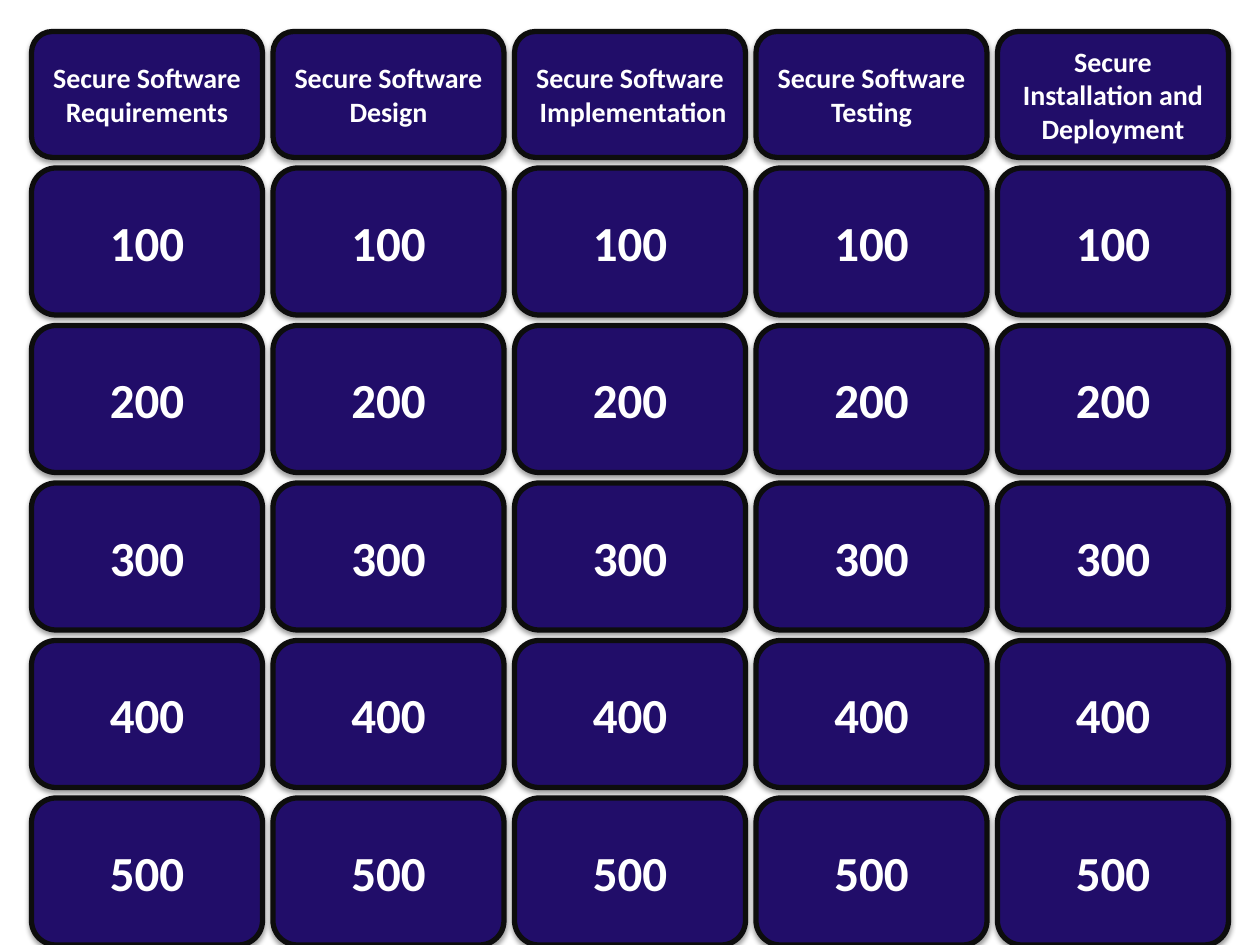
from lxml.etree import SubElement
from pptx import Presentation
from pptx.dml.color import RGBColor
from pptx.enum.shapes import MSO_SHAPE as Shape
from pptx.enum.text import MSO_ANCHOR as Anchor, PP_ALIGN as Align
from pptx.oxml.ns import qn
from pptx.util import Inches, Pt

TOPICS = [
    "Secure Software Requirements",
    "Secure Software Design",
    "Secure Software\v Implementation",
    "Secure Software Testing",
    "Secure Installation and Deployment",
]
POINTS = ["100", "200", "300", "400", "500"]

THEME = {
    "tile": RGBColor.from_string("210D69"),
    "border": RGBColor.from_string("0D0D0D"),
    "text": RGBColor.from_string("FFFFFF"),
    "shadow": "000000",
    "font": "Calibri",
    "topic_size": Pt(16),
    "points_size": Pt(28),
    "border_width": Pt(3),
}

PAGE_WIDTH, PAGE_HEIGHT = 10, 7.5
MARGIN = 0.25
GAP = 1 / 12
TOPIC_HEIGHT = 1
TILE_WIDTH = (PAGE_WIDTH - 2 * MARGIN - (len(TOPICS) - 1) * GAP) / len(TOPICS)
POINTS_TOP = MARGIN + TOPIC_HEIGHT + GAP
# The last row of points ends at the bottom edge of the page.
POINTS_HEIGHT = (PAGE_HEIGHT - POINTS_TOP - (len(POINTS) - 1) * GAP) / len(POINTS)


def add_soft_shadow(shape):
    shape.shadow.inherit = False
    effects = shape._element.spPr.find(qn("a:effectLst"))
    shadow = SubElement(
        effects, qn("a:outerShdw"), blurRad=str(Pt(3.1)), dist=str(Pt(1.6)),
        dir=str(90 * 60000), rotWithShape="0")
    color = SubElement(shadow, qn("a:srgbClr"), val=THEME["shadow"])
    SubElement(color, qn("a:alpha"), val="38000")


def add_tile(page, column, top, height, text, size):
    left = MARGIN + column * (TILE_WIDTH + GAP)
    tile = page.shapes.add_shape(
        Shape.ROUNDED_RECTANGLE,
        Inches(left), Inches(top), Inches(TILE_WIDTH), Inches(height))
    tile.fill.solid()
    tile.fill.fore_color.rgb = THEME["tile"]
    tile.line.color.rgb = THEME["border"]
    tile.line.width = THEME["border_width"]
    add_soft_shadow(tile)

    frame = tile.text_frame
    frame.word_wrap = True
    frame.vertical_anchor = Anchor.MIDDLE
    para = frame.paragraphs[0]
    para.text = text
    para.alignment = Align.CENTER
    for span in para.runs:
        for name, value in {"name": THEME["font"], "size": size, "bold": True}.items():
            setattr(span.font, name, value)
        span.font.color.rgb = THEME["text"]


def main():
    deck = Presentation()
    deck.slide_width, deck.slide_height = Inches(PAGE_WIDTH), Inches(PAGE_HEIGHT)
    page = deck.slides.add_slide(deck.slide_layouts.get_by_name("Blank"))

    for column, topic in enumerate(TOPICS):
        add_tile(page, column, MARGIN, TOPIC_HEIGHT, topic, THEME["topic_size"])
        for row, points in enumerate(POINTS):
            top = POINTS_TOP + row * (POINTS_HEIGHT + GAP)
            add_tile(page, column, top, POINTS_HEIGHT, points, THEME["points_size"])

    deck.save("out.pptx")


if __name__ == "__main__":
    main()
